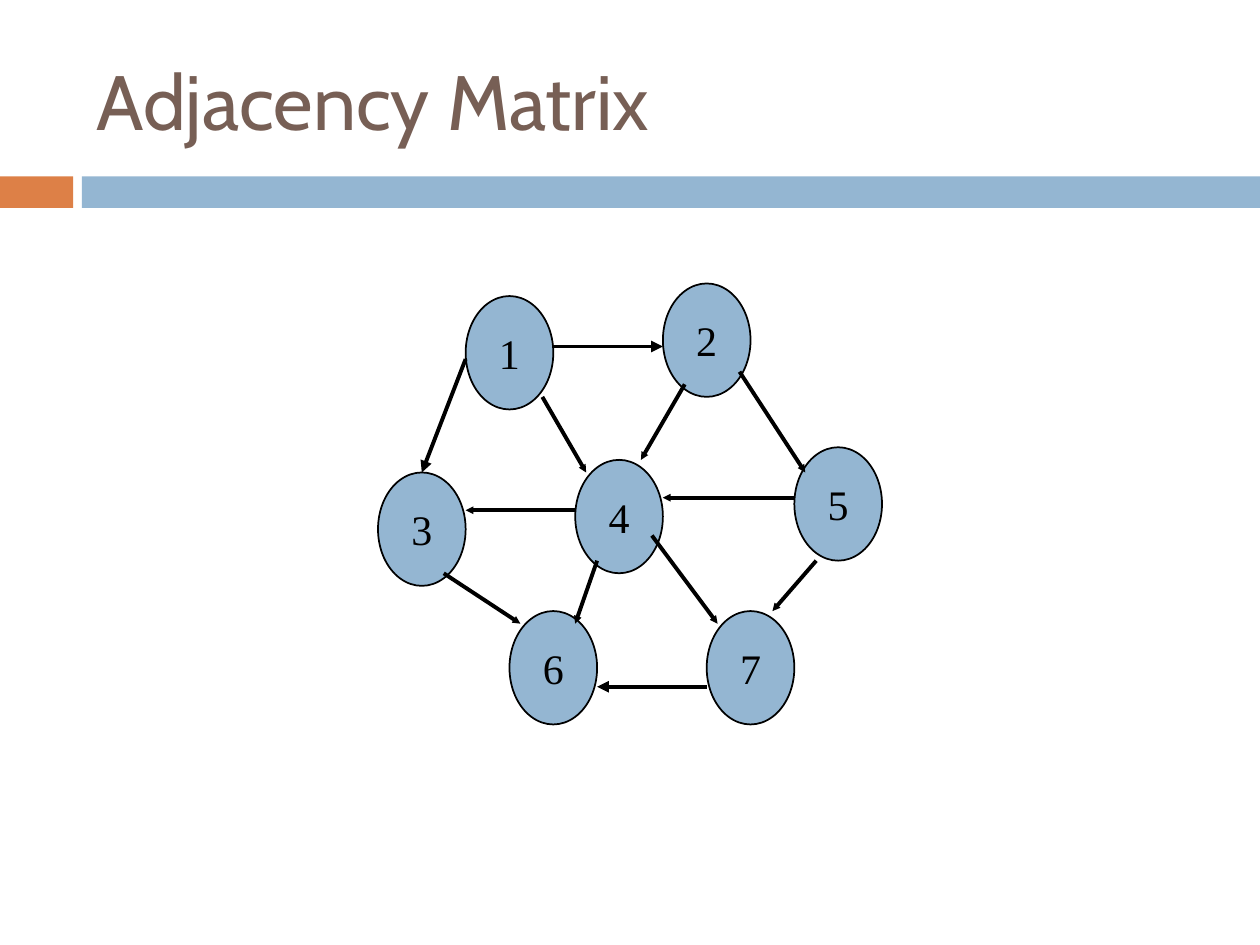
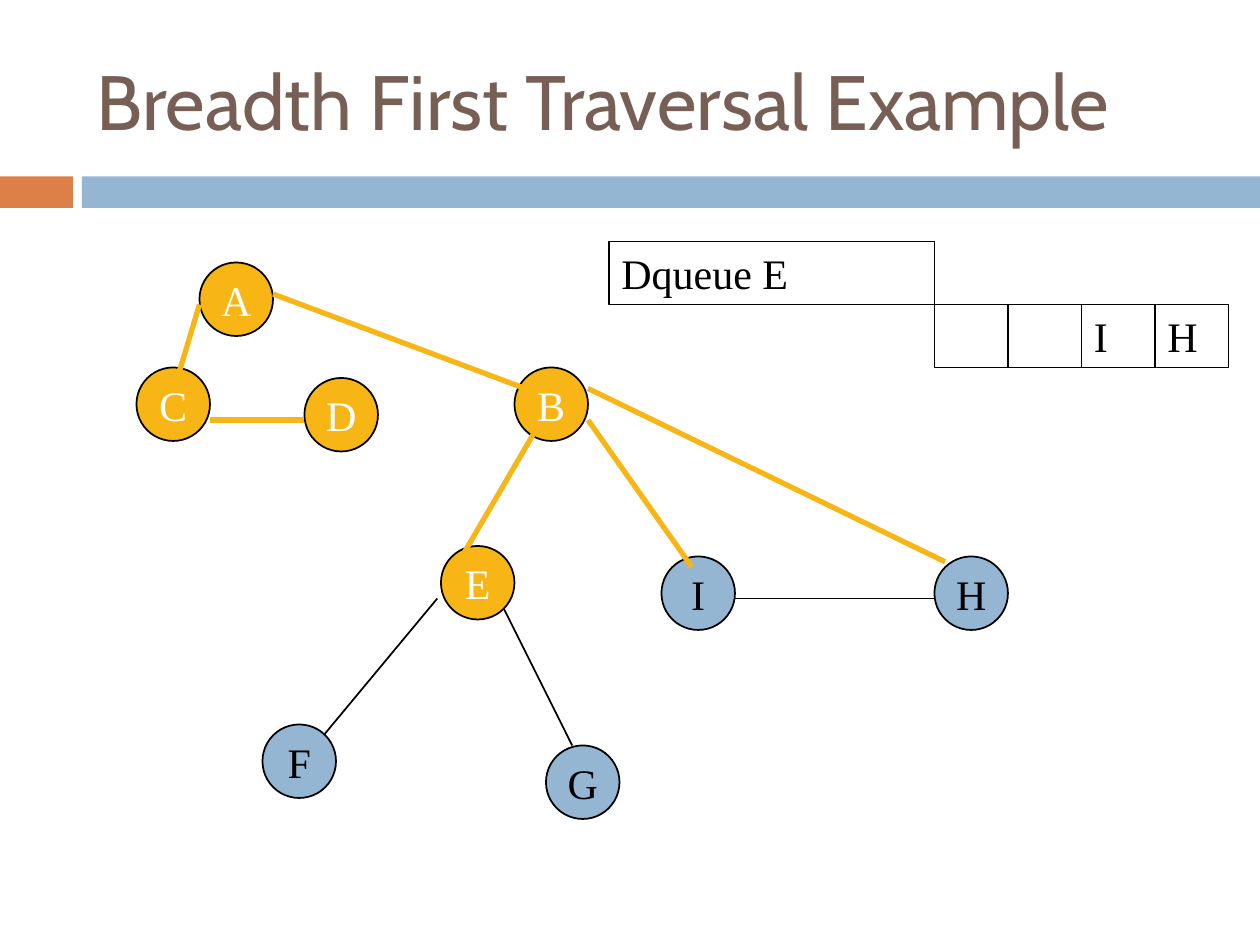
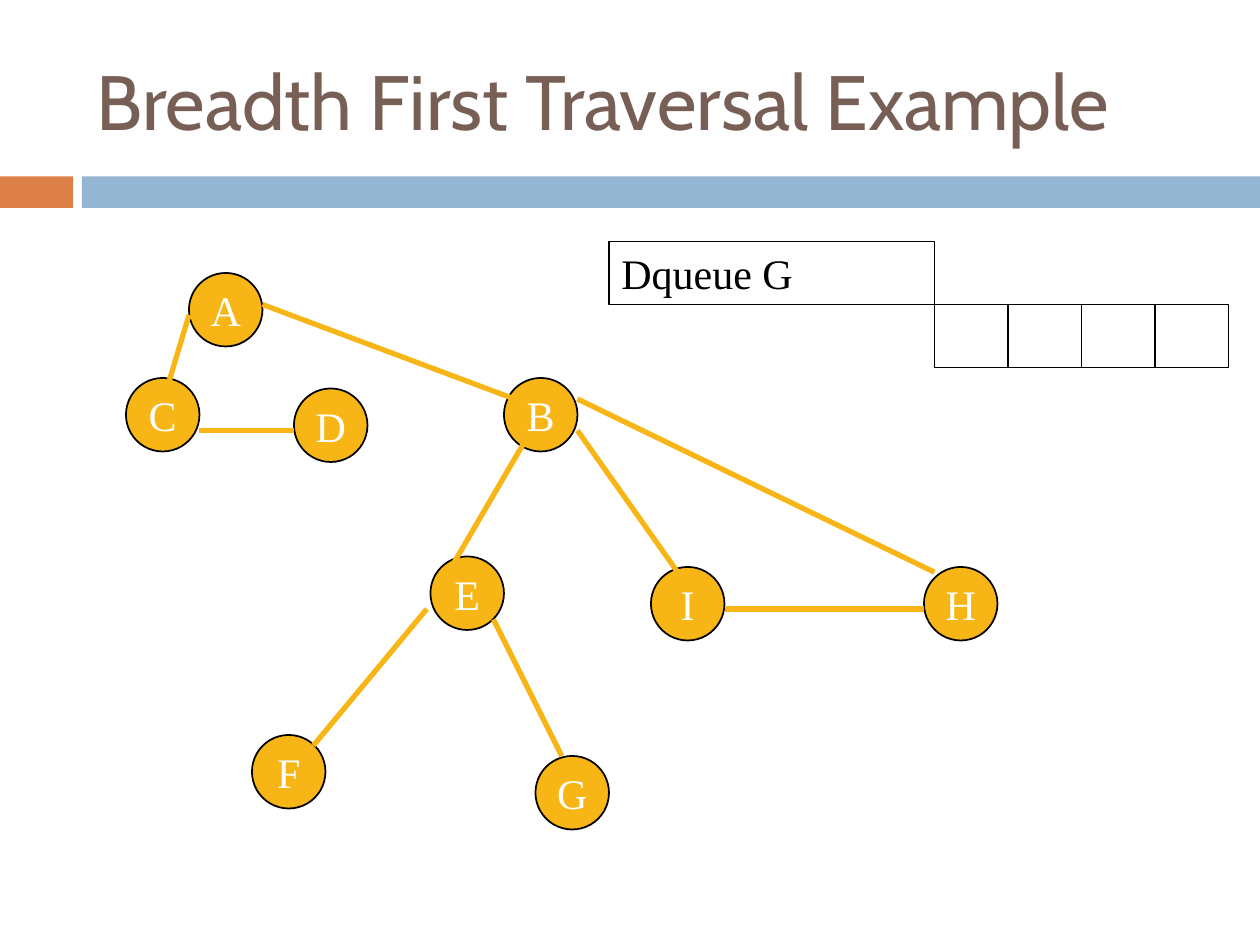
from dataclasses import dataclass

from lxml.etree import SubElement
from pptx import Presentation
from pptx.dml.color import RGBColor
from pptx.enum.shapes import MSO_CONNECTOR, MSO_SHAPE
from pptx.enum.text import MSO_ANCHOR, MSO_AUTO_SIZE, PP_ALIGN
from pptx.oxml.ns import qn
from pptx.util import Inches, Pt

COLOURS = {
    "band": "94B6D2",
    "accent": "DD8047",
    "title": "775F55",
    "visited": "F7B615",
    "ink": "000000",
    "paper": "FFFFFF",
}
TITLE_FONT = {"name": "Cabin", "size": Pt(44)}
BODY_FONT = {"name": "Times New Roman", "size": Pt(24)}
TITLE_FRAME = {
    "vertical_anchor": MSO_ANCHOR.MIDDLE,
    "auto_size": MSO_AUTO_SIZE.NONE,
    "word_wrap": True,
}
MIDDLE_FRAME = {"vertical_anchor": MSO_ANCHOR.MIDDLE, "word_wrap": False}
TOP_FRAME = {"vertical_anchor": MSO_ANCHOR.TOP, "word_wrap": True}


@dataclass
class Grid:
    left: float
    top: float
    column: float
    row: float

    def point(self, column, row):
        return (
            Inches(self.left + column * self.column),
            Inches(self.top + row * self.row),
        )

    def area(self, column, row, columns, rows):
        size = Inches(columns * self.column), Inches(rows * self.row)
        return *self.point(column, row), *size


PAGE_GRID = Grid(0, 0, 1 / 12, 1 / 12)
SHIFTED_GRID = Grid(-1 / 12, 1 / 12, 1 / 12, 1 / 12)
DIGRAPH_GRID = Grid(3, 2.25, 4 / 23, 0.1)

DIGRAPH_NODES = {
    "1": (4, 1),
    "2": (13, 0),
    "3": (0, 15),
    "4": (9, 14),
    "5": (19, 13),
    "6": (6, 26),
    "7": (15, 26),
}
DIGRAPH_EDGES = [
    ((8, 5), (13, 5), "med"),
    ((4, 6), (2, 15), "med"),
    ((7.5, 9), (9.5, 15), "sm"),
    ((14, 8), (12, 14), "sm"),
    ((16.5, 7), (19.5, 15), "sm"),
    ((9, 18), (4, 18), "sm"),
    ((19, 17), (13, 17), "sm"),
    ((3, 23), (6.5, 27), "sm"),
    ((10, 22), (9, 27), "sm"),
    ((12.5, 20), (15.5, 27), "sm"),
    ((20, 22), (18, 26), "sm"),
    ((15, 32), (10, 32), "med"),
]
TREE_NODES = {
    "A": (19, 25),
    "C": (13, 35),
    "D": (29, 36),
    "B": (49, 35),
    "E": (42, 52),
    "F": (25, 69),
    "G": (52, 71),
    "I": (63, 53),
    "H": (89, 53),
}
TREE_EDGES = {
    "AC": ((19, 29), (16.9, 36)),
    "CD": ((20, 40), (29, 40)),
    "AB": ((26, 28), (50, 37)),
    "BE": ((51, 41), (44, 53)),
    "EF": ((41.65, 57), (30.85, 70)),
    "EG": ((48, 58), (54.5, 71)),
    "BI": ((56, 40), (65.9, 54)),
    "BH": ((56, 37), (90, 53.5)),
    "IH": ((70, 57), (89, 57)),
}


def colour(name):
    return RGBColor.from_string(COLOURS[name])


def apply(target, values):
    for name, value in values.items():
        setattr(target, name, value)


def write(box, text, font, ink, frame, alignment):
    apply(box.text_frame, frame)
    para = box.text_frame.paragraphs[0]
    para.alignment = alignment
    span = para.add_run()
    span.text = text
    apply(span.font, font)
    span.font.color.rgb = colour(ink)


def add_box(page, kind, area, fill, line_width=0):
    box = page.shapes.add_shape(kind, *area)
    box.shadow.inherit = False
    box.fill.solid()
    box.fill.fore_color.rgb = colour(fill)
    if line_width:
        box.line.color.rgb = colour("ink")
        box.line.width = Pt(line_width)
    else:
        box.line.fill.background()
    return box


def add_node(page, area, label, fill="band", ink="ink"):
    node = add_box(page, MSO_SHAPE.OVAL, area, fill, 1)
    write(node, label, BODY_FONT, ink, MIDDLE_FRAME, PP_ALIGN.CENTER)


def add_edge(page, start, end, ink, width, arrow=None):
    edge = page.shapes.add_connector(MSO_CONNECTOR.STRAIGHT, *start, *end)
    edge.line.color.rgb = colour(ink)
    edge.line.width = Pt(width)
    if arrow:
        outline = edge.line._get_or_add_ln()
        SubElement(outline, qn("a:tailEnd"), type="triangle", w=arrow, len=arrow)
    SubElement(edge.element.spPr, qn("a:effectLst"))


def add_bands(page, layout):
    for left, width, fill in ((0, 0.58, "accent"), (0.65, 9.35, "band")):
        area = [Inches(length) for length in (left, 1.4, width, 0.25)]
        band = add_box(page, MSO_SHAPE.RECTANGLE, area, fill)
        layout.shapes.element.append(band.element)


def add_page(deck, layout, title):
    page = deck.slides.add_slide(layout)
    box = page.shapes.title
    left, top, width, height = PAGE_GRID.area(8, 3, 107, 13)
    apply(box, {"left": left, "top": top, "width": width, "height": height})
    write(box, title, TITLE_FONT, "title", TITLE_FRAME, PP_ALIGN.LEFT)
    return page


def add_digraph(page):
    for label, place in DIGRAPH_NODES.items():
        add_node(page, DIGRAPH_GRID.area(*place, 4, 9), label)
    for start, end, arrow in DIGRAPH_EDGES:
        ends = DIGRAPH_GRID.point(*start), DIGRAPH_GRID.point(*end)
        add_edge(page, *ends, "ink", 2.25, arrow)


def add_tree(page, grid, visited, followed):
    for label, place in TREE_NODES.items():
        style = ("visited", "paper") if label in visited else ("band", "ink")
        add_node(page, grid.area(*place, 7, 7), label, *style)
    for name, (start, end) in TREE_EDGES.items():
        style = ("visited", 3) if name in followed else ("ink", 1)
        add_edge(page, grid.point(*start), grid.point(*end), *style)


def add_queue(page, caption, items):
    cells = [(PAGE_GRID.area(58, 23, 31, 6), caption, TOP_FRAME)]
    for index, item in enumerate(items):
        cells.append((PAGE_GRID.area(89 + 7 * index, 29, 7, 6), item, MIDDLE_FRAME))
    for area, text, frame in cells:
        cell = add_box(page, MSO_SHAPE.RECTANGLE, area, "paper", 0.75)
        if text:
            write(cell, text, BODY_FONT, "ink", frame, PP_ALIGN.LEFT)


def main():
    deck = Presentation()
    deck.slide_width, deck.slide_height = Inches(10), Inches(7.5)
    layout = deck.slide_layouts.get_by_name("Title Only")

    page = add_page(deck, layout, "Adjacency Matrix")
    add_bands(page, layout)
    add_digraph(page)

    followed = {"AC", "CD", "AB", "BE", "BI", "BH"}
    steps = [
        (PAGE_GRID, "ABCDE", followed, "Dqueue E", ["", "", "I", "H"]),
        (SHIFTED_GRID, "ABCDEFGHI", set(TREE_EDGES), "Dqueue G", [""] * 4),
    ]
    for grid, visited, edges, caption, items in steps:
        page = add_page(deck, layout, "Breadth First Traversal Example")
        add_tree(page, grid, visited, edges)
        add_queue(page, caption, items)

    deck.save("out.pptx")


if __name__ == "__main__":
    main()
